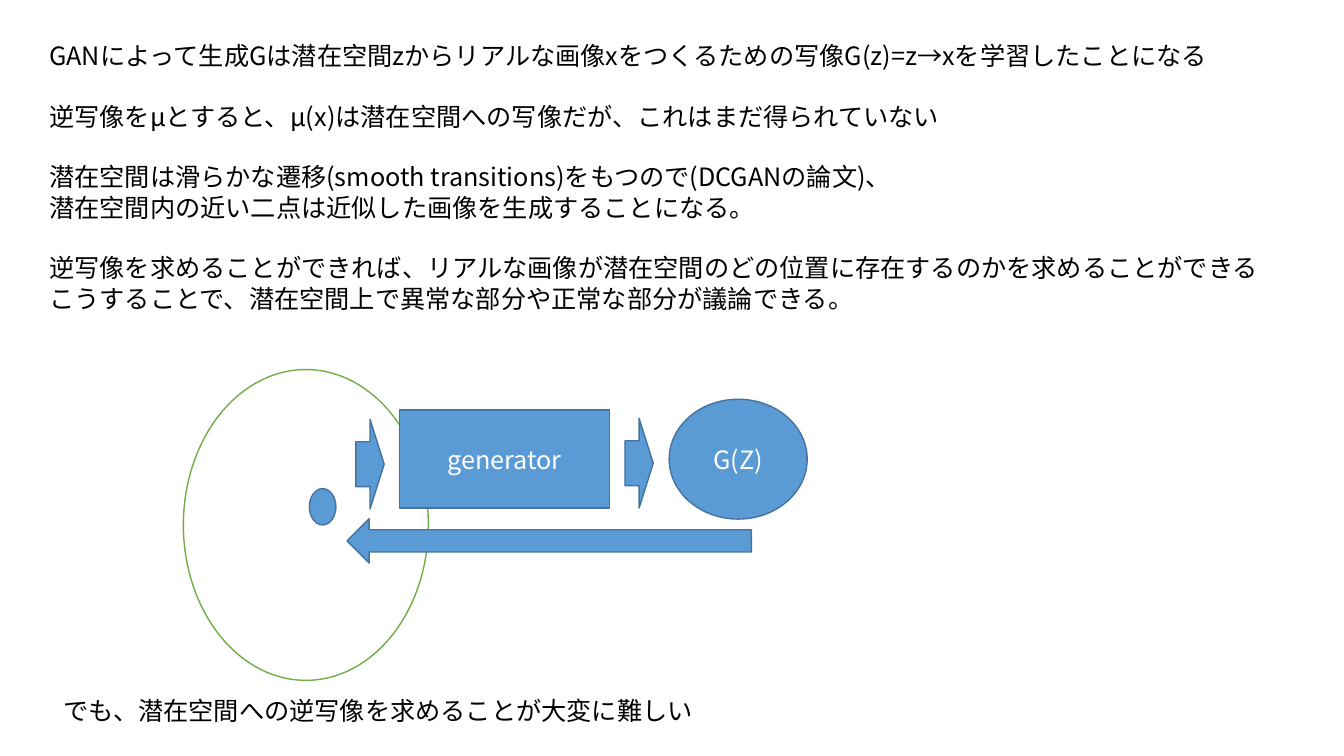
from lxml import etree
from pptx import Presentation
from pptx import util as u
from pptx.dml.color import RGBColor
from pptx.enum import shapes, text
from pptx.oxml import ns

SHAPE = shapes.MSO_SHAPE


def color(value):
    return RGBColor.from_string(value)


def assign(target, values):
    for name, value in values.items():
        setattr(target, name, value)


class Sketch:
    """Holds the style and the current slide; all lengths are in points."""

    font = "Noto Sans CJK JP"
    size = 18
    pitch = 21.65
    blue, edge, green = "5B9BD5", "43739E", "70AD47"
    black, white = "000000", "FFFFFF"

    def __init__(self, page):
        self.page = page

    def add_words(self, para, words, ink, **layout):
        assign(para, layout)
        span = para.add_run()
        span.text = words
        assign(span.font, {"name": self.font, "size": u.Pt(self.size)})
        span.font.color.rgb = color(ink)
        east_asian = etree.SubElement(span.font._element, ns.qn("a:ea"))
        east_asian.set("typeface", self.font)

    def note(self, left, top, width, height, blocks):
        """Text box: each block is a list of lines, with one line between blocks."""
        box = self.page.shapes.add_textbox(*map(u.Pt, (left, top, width, height)))
        frame = box.text_frame
        assign(frame, {"word_wrap": True,
                       "auto_size": text.MSO_AUTO_SIZE.SHAPE_TO_FIT_TEXT})
        for block_index, block in enumerate(blocks):
            for line_index, line in enumerate(block):
                first = block_index == line_index == 0
                para = frame.paragraphs[0] if first else frame.add_paragraph()
                gap = self.pitch if block_index and not line_index else 0
                self.add_words(para, line, self.black,
                               line_spacing=u.Pt(self.pitch), space_before=u.Pt(gap))

    def shape(self, kind, left, top, width, height, label="",
              fill=blue, line=edge, rotation=0):
        shape = self.page.shapes.add_shape(kind, *map(u.Pt, (left, top, width, height)))
        shape.rotation = rotation
        shape.shadow.inherit = False
        shape.fill.solid()
        shape.fill.fore_color.rgb = color(fill)
        shape.line.color.rgb = color(line)
        shape.line.width = u.Pt(1)
        if label:
            shape.text_frame.vertical_anchor = text.MSO_ANCHOR.MIDDLE
            self.add_words(shape.text_frame.paragraphs[0], label, self.white,
                           alignment=text.PP_ALIGN.CENTER)


def main():
    deck = Presentation()
    assign(deck, {"slide_width": u.Pt(960), "slide_height": u.Pt(540)})
    sketch = Sketch(deck.slides.add_slide(deck.slide_layouts[6]))

    # Explanation
    sketch.note(28.1, 25.2, 879.1, 225.4, [
        ["GANによって生成Gは潜在空間zからリアルな画像xをつくるための写像G(z)=z→xを学習したことになる"],
        ["逆写像をμとすると、μ(x)は潜在空間への写像だが、これはまだ得られていない"],
        ["潜在空間は滑らかな遷移(smooth transitions)をもつので(DCGANの論文)、",
         "潜在空間内の近い二点は近似した画像を生成することになる。"],
        ["逆写像を求めることができれば、リアルな画像が潜在空間のどの位置に存在するのかを求めることができる",
         "こうすることで、潜在空間上で異常な部分や正常な部分が議論できる。"],
    ])

    # Latent space and a point in it
    sketch.shape(SHAPE.OVAL, 131, 264, 175, 222, fill=sketch.white, line=sketch.green)
    sketch.shape(SHAPE.OVAL, 221, 349, 19, 26)

    # Generator and generated image
    sketch.shape(SHAPE.RECTANGLE, 285.5, 293, 150, 70, "generator")
    sketch.shape(SHAPE.OVAL, 478, 285.2, 98.6, 85.6, "G(Z)")

    # Forward mapping
    for left, top in ((254.2, 299.5), (446.4, 298.8)):
        sketch.shape(SHAPE.RIGHT_ARROW, left, top, 20.2, 64.1)

    # Inverse mapping, a down arrow turned to point left
    sketch.shape(SHAPE.DOWN_ARROW, 376.4, 242, 31.7, 288.8, rotation=90)

    # Closing remark
    sketch.note(38.2, 493.2, 879.1, 28.8,
                [["でも、潜在空間への逆写像を求めることが大変に難しい"]])

    deck.save("out.pptx")


if __name__ == "__main__":
    main()
